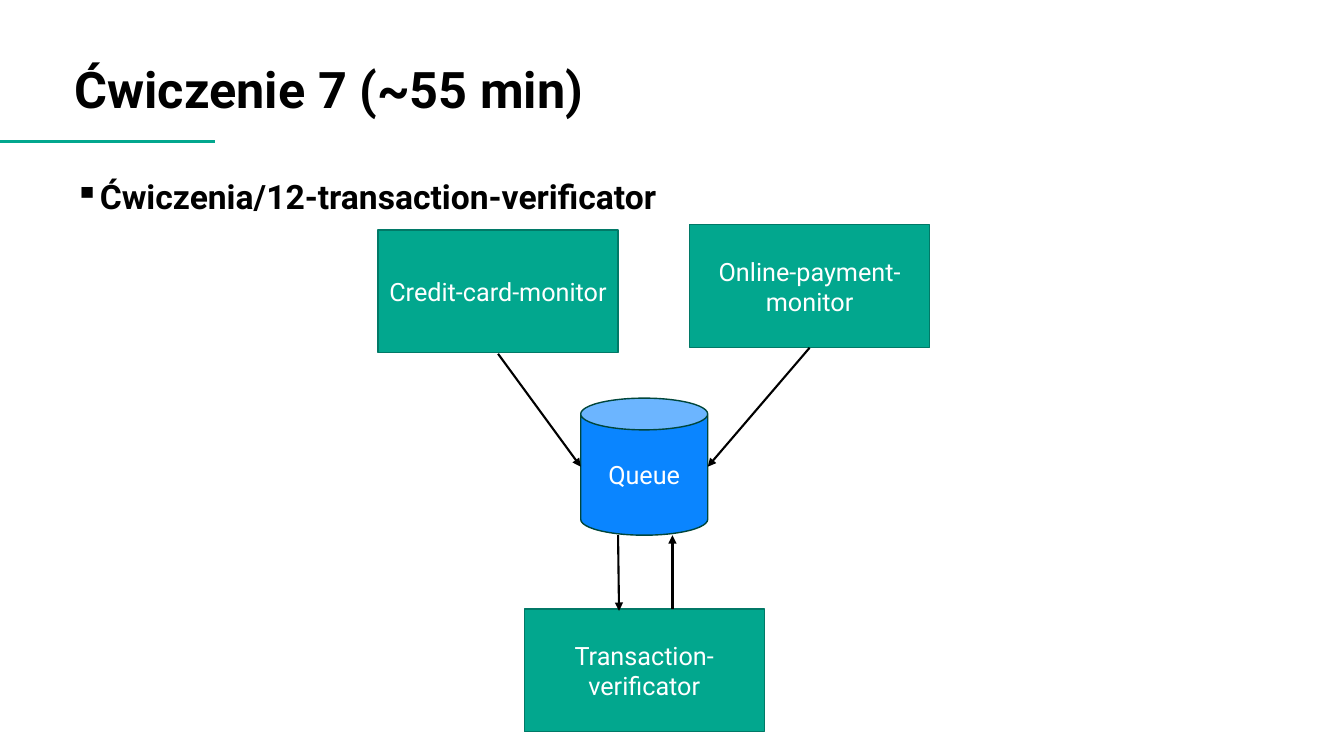
import lxml.etree
import pptx
import pptx.dml.color
import pptx.enum.shapes
import pptx.enum.text
import pptx.oxml.ns
import pptx.util

Inches = pptx.util.Inches
Pt = pptx.util.Pt
ANCHOR = pptx.enum.text.MSO_ANCHOR
ALIGN = pptx.enum.text.PP_ALIGN
SHAPES = pptx.enum.shapes.MSO_SHAPE

BLACK, WHITE = "000000", "FFFFFF"
GREEN, DARK_GREEN = "02A78E", "017967"
BLUE, DEEP_GREEN = "0A85FF", "00463B"


def color(value):
    return pptx.dml.color.RGBColor.from_string(value)


def apply(target, values):
    """Set each named attribute of target."""
    for name, value in values.items():
        setattr(target, name, value)


def add_xml(parent, tag, **attributes):
    return lxml.etree.SubElement(parent, pptx.oxml.ns.qn(tag), attributes)


class SlideBuilder:
    font_name = "Roboto"

    def __init__(self, slide):
        self.slide = slide

    def set_text(self, shape, text, size, ink, side_margin, anchor, bold=False):
        frame = shape.text_frame
        apply(frame, {
            "word_wrap": True,
            "margin_left": Inches(side_margin),
            "margin_right": Inches(side_margin),
            "margin_top": Inches(0.05),
            "margin_bottom": Inches(0.05),
            "vertical_anchor": anchor,
        })
        paragraph = frame.paragraphs[0]
        run = paragraph.add_run()
        run.text = text
        apply(run.font, {"name": self.font_name, "size": Pt(size), "bold": bold})
        run.font.color.rgb = color(ink)
        return paragraph

    def heading(self, text, top, height, size, anchor):
        box = self.slide.shapes.add_textbox(
            Inches(0.74), Inches(top), Inches(11.84), Inches(height))
        return self.set_text(box, text, size, BLACK, 0, anchor, bold=True)

    def bullet(self, text, top, height, size):
        paragraph = self.heading(text, top, height, size, ANCHOR.TOP)
        paragraph.line_spacing = 1.2
        properties = paragraph._p.get_or_add_pPr()
        indent = Inches(0.25)
        properties.set("marL", str(indent))
        properties.set("indent", str(-indent))
        add_xml(add_xml(properties, "a:buClr"), "a:srgbClr", val=BLACK)
        add_xml(properties, "a:buChar", char="▪")

    def node(self, text, left, top, width=2.38, height=1.22,
             kind=SHAPES.RECTANGLE, fill=GREEN, outline=DARK_GREEN):
        shape = self.slide.shapes.add_shape(
            kind, Inches(left), Inches(top), Inches(width), Inches(height))
        shape.shadow.inherit = False
        shape.fill.solid()
        shape.fill.fore_color.rgb = color(fill)
        shape.line.color.rgb = color(outline)
        shape.line.width = Pt(1)
        paragraph = self.set_text(shape, text, 18, WHITE, 0.1, ANCHOR.MIDDLE)
        paragraph.alignment = ALIGN.CENTER
        return shape

    def line(self, start, end, ink=BLACK, width=1.5, arrow=True):
        connector = self.slide.shapes.add_connector(
            pptx.enum.shapes.MSO_CONNECTOR.STRAIGHT,
            *(Inches(value) for value in (*start, *end)))
        connector.line.color.rgb = color(ink)
        connector.line.width = Pt(width)
        properties = connector._element.spPr
        if arrow:
            outline = properties.find(pptx.oxml.ns.qn("a:ln"))
            add_xml(outline, "a:tailEnd", type="triangle")
        add_xml(properties, "a:effectLst")


def main():
    presentation = pptx.Presentation()
    presentation.slide_width = Inches(13.33)
    presentation.slide_height = Inches(7.5)
    builder = SlideBuilder(
        presentation.slides.add_slide(presentation.slide_layouts[6]))

    builder.line((2.13, 1.4), (0, 1.4), GREEN, 2, arrow=False)
    builder.heading("Ćwiczenie 7 (~55 min)", 0, 1.23, 36, ANCHOR.BOTTOM)

    broker = builder.node("Queue", 5.76, 3.95, 1.26, 1.36,
                          SHAPES.CAN, BLUE, DEEP_GREEN)
    broker.adjustments[0] = 0.25
    for text, left, top in (
        ("Transaction-verificator", 5.2, 6.04),
        ("Credit-card-monitor", 3.75, 2.28),
        ("Online-payment-monitor", 6.84, 2.23),
    ):
        builder.node(text, left, top)

    for start, end in (
        ((4.94, 3.51), (5.76, 4.63)),
        ((8.03, 3.45), (7.02, 4.63)),
        ((6.13, 5.31), (6.14, 6.06)),
        ((6.67, 6.04), (6.67, 5.31)),
    ):
        builder.line(start, end)

    builder.bullet("Ćwiczenia/12-transaction-verificator", 1.62, 0.76, 24)
    presentation.save("out.pptx")


if __name__ == "__main__":
    main()
